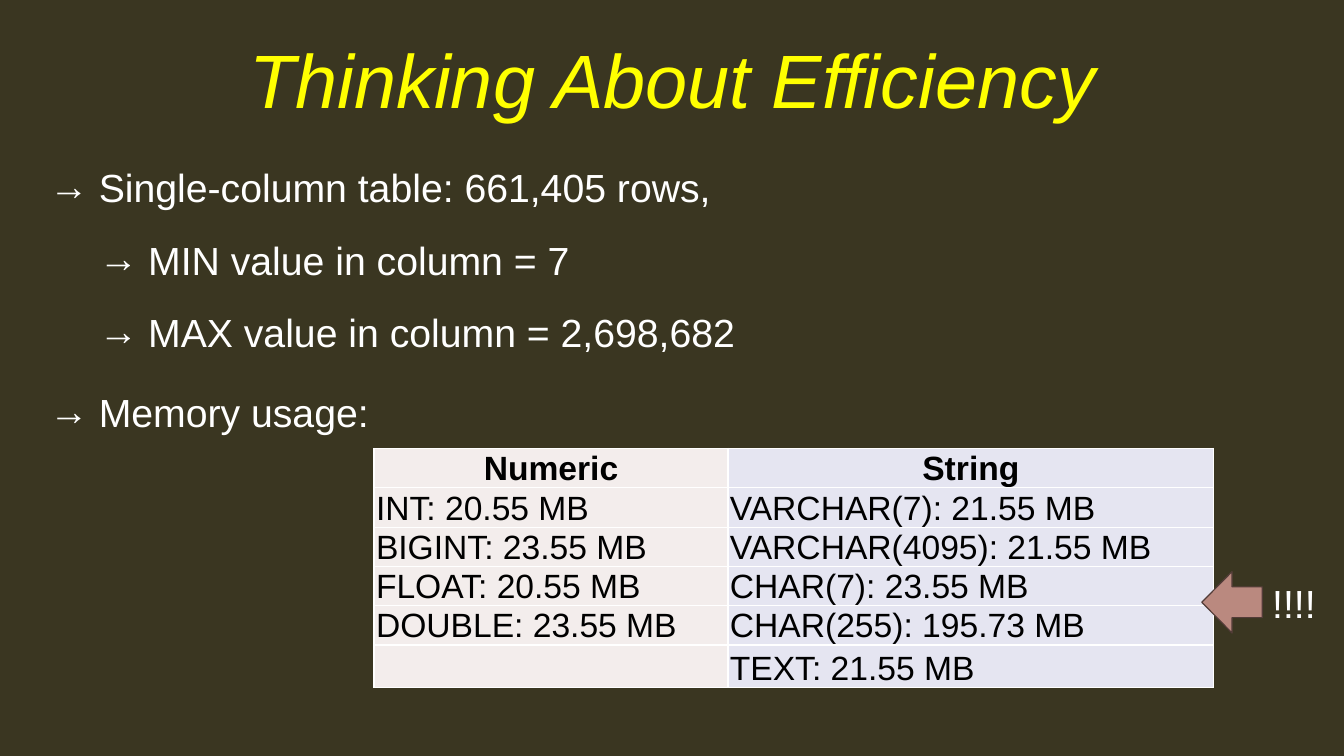
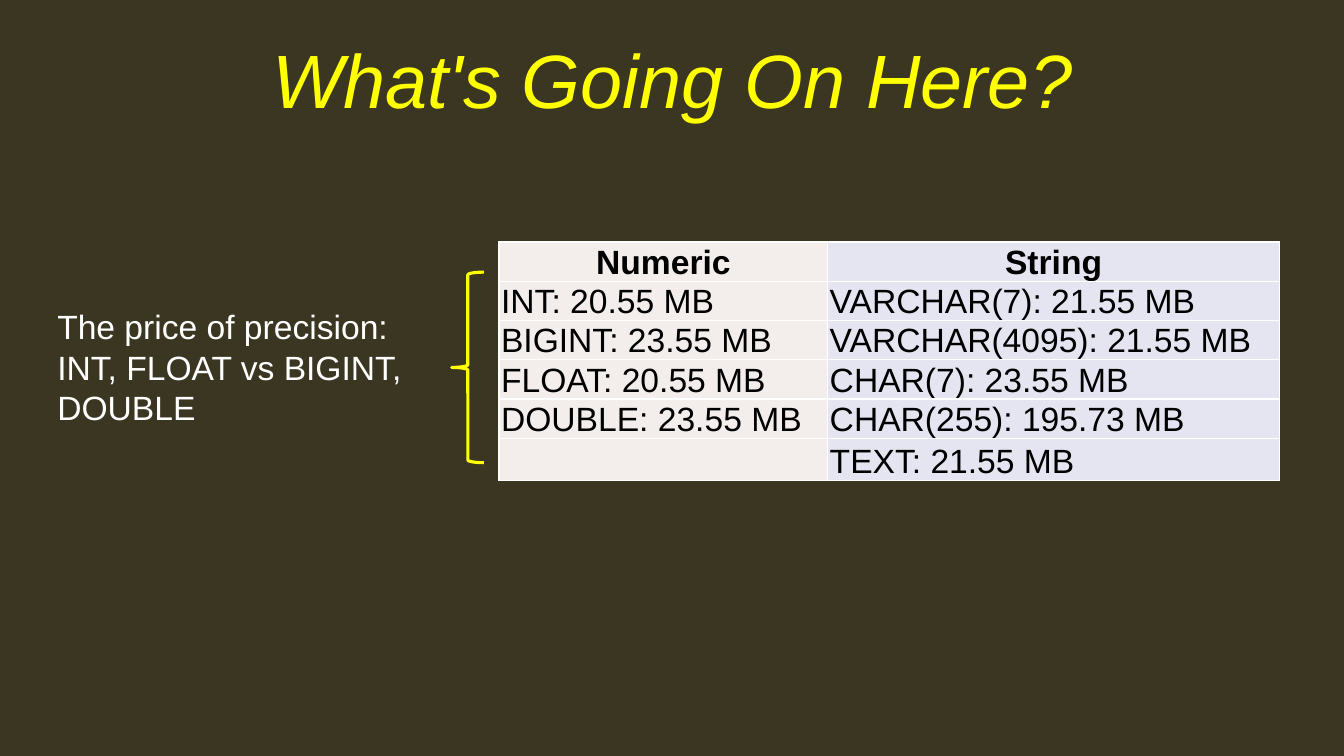
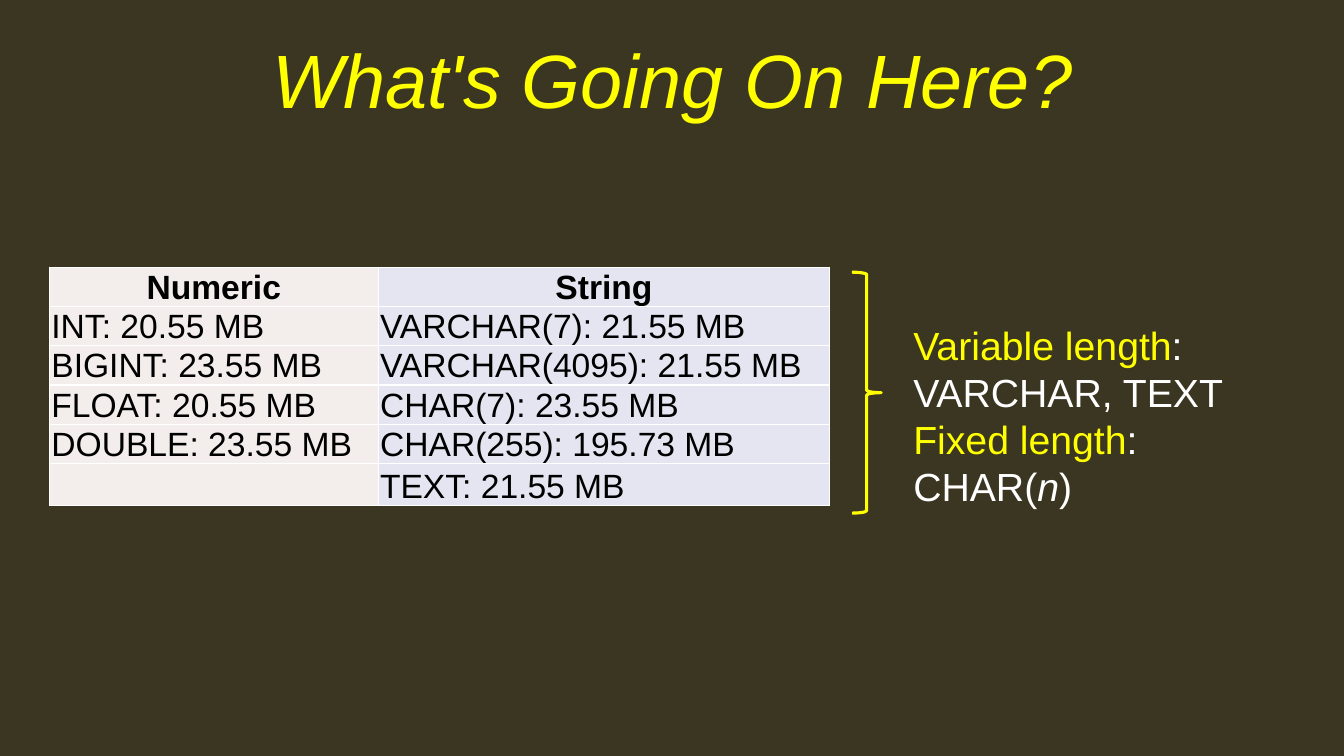
from lxml import etree
from pptx import Presentation
from pptx.dml.color import RGBColor
from pptx.enum.shapes import MSO_SHAPE
from pptx.enum.text import MSO_ANCHOR, MSO_AUTO_SIZE, PP_ALIGN
from pptx.oxml.ns import qn
from pptx.util import Inches, Pt

LEFT_ARROW, LEFT_BRACE = MSO_SHAPE.LEFT_ARROW, MSO_SHAPE.LEFT_BRACE
TOP, BOTTOM = MSO_ANCHOR.TOP, MSO_ANCHOR.BOTTOM
NO_FIT, FIT_SHAPE = MSO_AUTO_SIZE.NONE, MSO_AUTO_SIZE.SHAPE_TO_FIT_TEXT
LEFT, CENTER = PP_ALIGN.LEFT, PP_ALIGN.CENTER

BACKGROUND = RGBColor(0x3A, 0x36, 0x21)
YELLOW = RGBColor(0xFF, 0xFF, 0x00)
WHITE = RGBColor(0xFF, 0xFF, 0xFF)
BLACK = RGBColor(0x00, 0x00, 0x00)
ARROW_FILL = RGBColor(0xBA, 0x89, 0x7F)
ARROW_LINE = RGBColor(0x52, 0x3C, 0x38)
COLUMN_FILLS = (RGBColor(0xF3, 0xED, 0xEC), RGBColor(0xE5, 0xE5, 0xF1))
FONT = "Arial"

TITLE_AND_CONTENT, TITLE_ONLY = 1, 5
TITLE_BOX = (0.49, 0.43, 12.36, 1.25)
BODY_BOX = (0.49, 1.43, 12.35, 5.01)
INDENT = 0.49
SPACE_BEFORE = (10, 5)
ROW_HEIGHT, LAST_ROW_HEIGHT = 0.39, 0.42

EFFICIENCY_TITLE = "Thinking About Efficiency"
EXPLANATION_TITLE = "What's Going On Here?"
FACTS = [
    (0, "Single-column table: 661,405 rows,"),
    (1, "MIN value in column = 7"),
    (1, "MAX value in column = 2,698,682"),
    (0, "Memory usage:"),
]
MEMORY_USAGE = [
    ("Numeric", "String"),
    ("INT: 20.55 MB", "VARCHAR(7): 21.55 MB"),
    ("BIGINT: 23.55 MB", "VARCHAR(4095): 21.55 MB"),
    ("FLOAT: 20.55 MB", "CHAR(7): 23.55 MB"),
    ("DOUBLE: 23.55 MB", "CHAR(255): 195.73 MB"),
    ("", "TEXT: 21.55 MB"),
]
PRECISION_NOTE = [
    [("The price of precision:", {})],
    [("INT, FLOAT vs BIGINT, DOUBLE", {})],
]
LENGTH_NOTE = [
    [("Variable length", {"color": YELLOW}), (":", {})],
    [("VARCHAR, TEXT", {})],
    [("Fixed length", {"color": YELLOW}), (": CHAR(", {}),
     ("n", {"italic": True}), (")", {})],
]


def inches(box):
    return [Inches(value) for value in box]


def add_text(paragraph, text, size=28, color=WHITE, bold=False, italic=False):
    run = paragraph.add_run()
    run.text = text
    font = run.font
    font.name, font.size = FONT, Pt(size)
    font.bold, font.italic = bold, italic
    font.color.rgb = color


def place(placeholder, box, right_inset=0):
    """Move a template placeholder and clear its insets."""
    placeholder.left, placeholder.top, placeholder.width, placeholder.height = inches(box)
    frame = placeholder.text_frame
    frame.margin_left = frame.margin_top = frame.margin_bottom = 0
    frame.margin_right = Inches(right_inset)
    frame.vertical_anchor = TOP
    frame.auto_size = NO_FIT
    return frame


def add_slide(deck, layout, title):
    slide = deck.slides.add_slide(deck.slide_layouts[layout])
    paragraph = place(slide.shapes.title, TITLE_BOX).paragraphs[0]
    paragraph.alignment = CENTER
    paragraph.line_spacing = 0.9
    add_text(paragraph, title, size=54, color=YELLOW, italic=True)
    return slide


def add_facts(slide):
    frame = place(slide.placeholders[1], BODY_BOX, right_inset=0.1)
    for index, (level, fact) in enumerate(FACTS):
        paragraph = frame.add_paragraph() if index else frame.paragraphs[0]
        properties = paragraph._p.get_or_add_pPr()
        properties.set("marL", str(Inches(INDENT * (level + 1))))
        properties.set("indent", str(Inches(-INDENT)))
        etree.SubElement(properties, qn("a:buChar")).set("char", "→")
        paragraph.level = level
        paragraph.alignment = LEFT
        paragraph.line_spacing = 1.4
        paragraph.space_before = Pt(SPACE_BEFORE[level] if index else 0)
        add_text(paragraph, fact)


def add_borders(cell):
    properties = cell._tc.get_or_add_tcPr()
    for position, side in enumerate(("lnL", "lnR", "lnT", "lnB")):
        line = etree.Element(qn("a:" + side), w=str(Pt(1)))
        fill = etree.SubElement(line, qn("a:solidFill"))
        etree.SubElement(fill, qn("a:srgbClr")).set("val", str(WHITE))
        properties.insert(position, line)


def add_memory_table(slide, left, top, widths):
    rows = len(MEMORY_USAGE)
    heights = [ROW_HEIGHT] * (rows - 1) + [LAST_ROW_HEIGHT]
    box = inches((left, top, sum(widths), sum(heights)))
    table = slide.shapes.add_table(rows, len(widths), *box).table
    table.horz_banding = False
    for column, width in zip(table.columns, widths):
        column.width = Inches(width)
    for row, height in zip(table.rows, heights):
        row.height = Inches(height)
    for row_index, entries in enumerate(MEMORY_USAGE):
        is_header = row_index == 0
        for column_index, entry in enumerate(entries):
            cell = table.cell(row_index, column_index)
            cell.fill.solid()
            cell.fill.fore_color.rgb = COLUMN_FILLS[column_index]
            add_borders(cell)
            cell.margin_left = cell.margin_right = Inches(0.02)
            cell.margin_top, cell.margin_bottom = Inches(0.01), 0
            cell.vertical_anchor = BOTTOM
            if entry:
                paragraph = cell.text_frame.paragraphs[0]
                paragraph.alignment = CENTER if is_header else LEFT
                add_text(paragraph, entry, size=24, color=BLACK, bold=is_header)


def add_note(slide, box, paragraphs, size=28, wrap=True):
    frame = slide.shapes.add_textbox(*inches(box)).text_frame
    frame.word_wrap = wrap
    frame.auto_size = FIT_SHAPE
    for index, runs in enumerate(paragraphs):
        paragraph = frame.add_paragraph() if index else frame.paragraphs[0]
        for text, style in runs:
            add_text(paragraph, text, size=size, **style)


def add_marker(slide, kind, box, line_color, line_width, fill=None, rotation=0):
    marker = slide.shapes.add_shape(kind, *inches(box))
    marker.shadow.inherit = False
    marker.rotation = rotation
    marker.line.color.rgb = line_color
    marker.line.width = Pt(line_width)
    if fill is None:
        marker.fill.background()
    else:
        marker.fill.solid()
        marker.fill.fore_color.rgb = fill


def main():
    deck = Presentation()
    deck.slide_width, deck.slide_height = Inches(13.33), Inches(7.5)
    master_fill = deck.slide_master.background.fill
    master_fill.solid()
    master_fill.fore_color.rgb = BACKGROUND

    efficiency = add_slide(deck, TITLE_AND_CONTENT, EFFICIENCY_TITLE)
    add_facts(efficiency)
    add_memory_table(efficiency, 3.71, 4.45, (3.51, 4.82))
    add_marker(efficiency, LEFT_ARROW, (11.92, 5.67, 0.6, 0.61),
               ARROW_LINE, 0.85, fill=ARROW_FILL)
    add_note(efficiency, (12.52, 5.7, 0.66, 0.57), [[("!!!!", {})]], wrap=False)

    precision = add_slide(deck, TITLE_ONLY, EXPLANATION_TITLE)
    add_memory_table(precision, 4.95, 2.4, (3.26, 4.48))
    add_marker(precision, LEFT_BRACE, (4.48, 2.7, 0.32, 1.89), YELLOW, 2.25)
    add_note(precision, (0.47, 2.99, 3.93, 1.31), PRECISION_NOTE, size=24)

    lengths = add_slide(deck, TITLE_ONLY, EXPLANATION_TITLE)
    add_memory_table(lengths, 0.49, 2.65, (3.26, 4.48))
    add_marker(lengths, LEFT_BRACE, (8.45, 2.7, 0.29, 2.39), YELLOW, 2.25, rotation=180)
    add_note(lengths, (8.96, 3.14, 3.75, 1.51), LENGTH_NOTE)

    deck.save("out.pptx")


if __name__ == "__main__":
    main()
